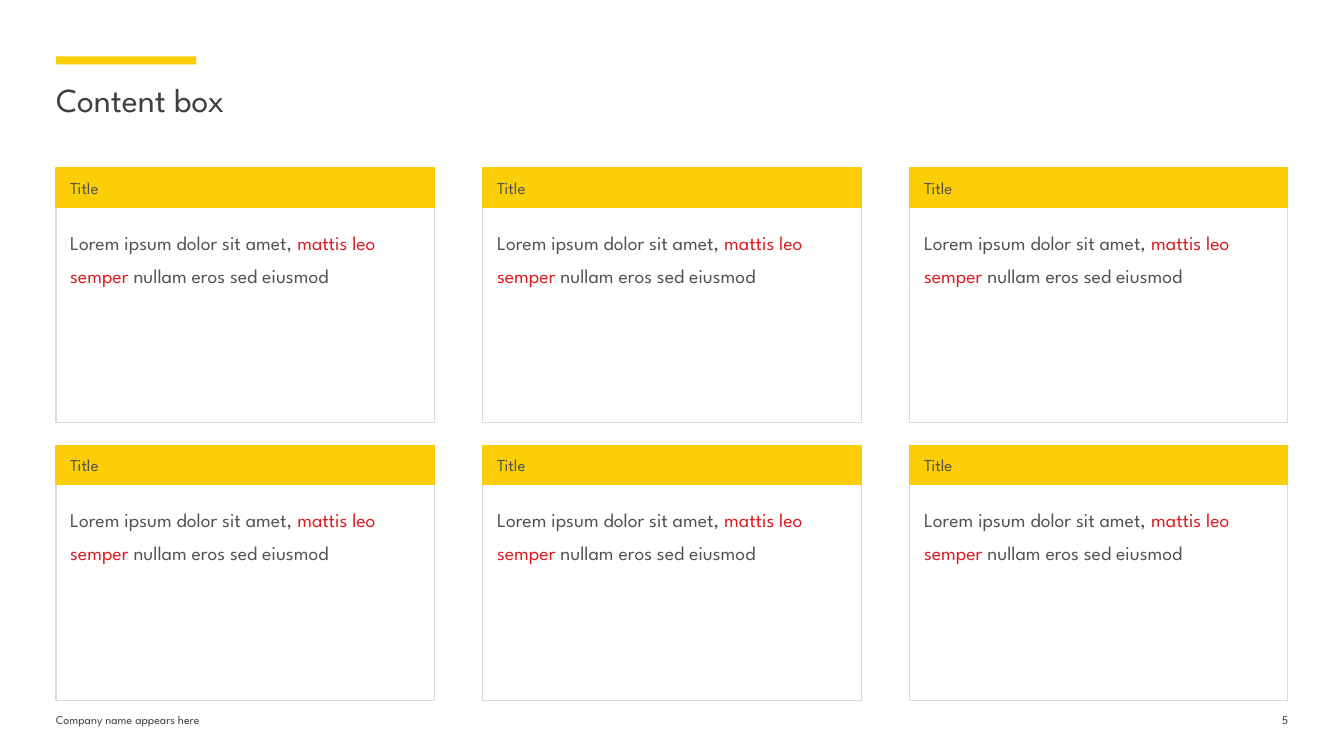
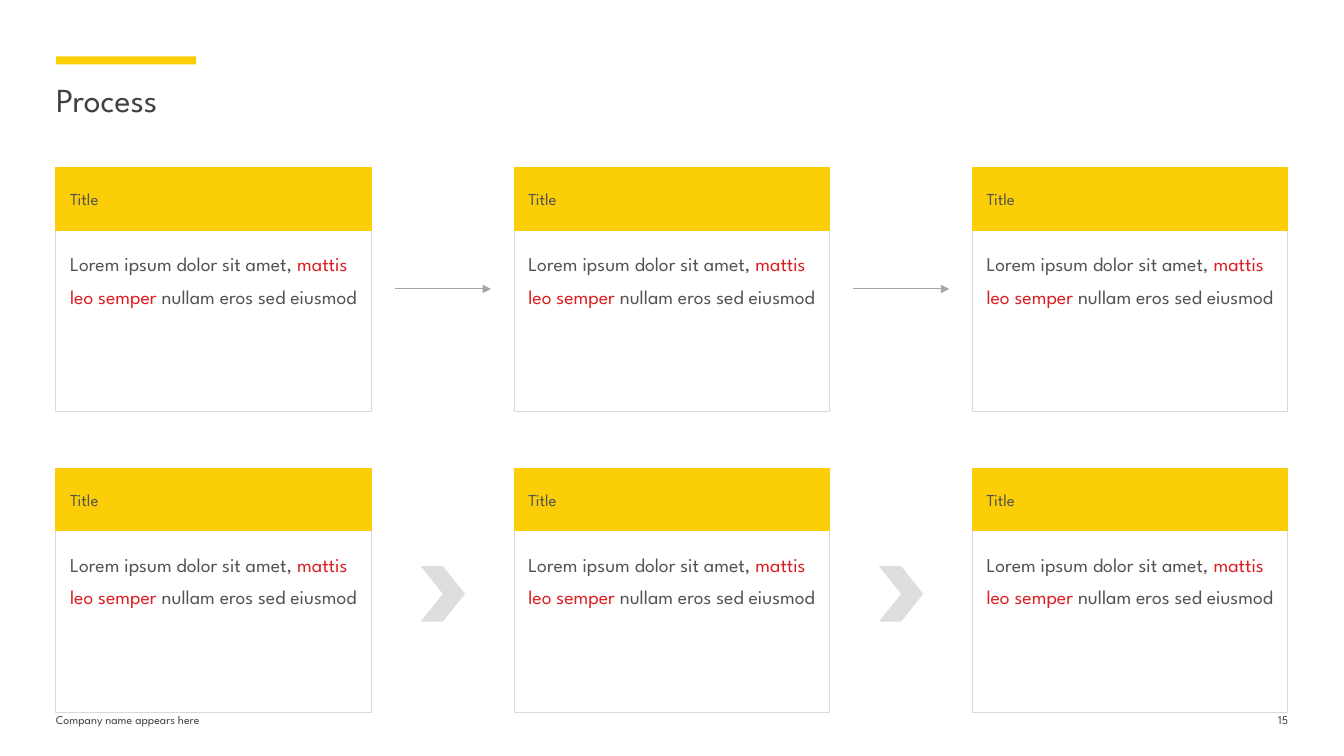
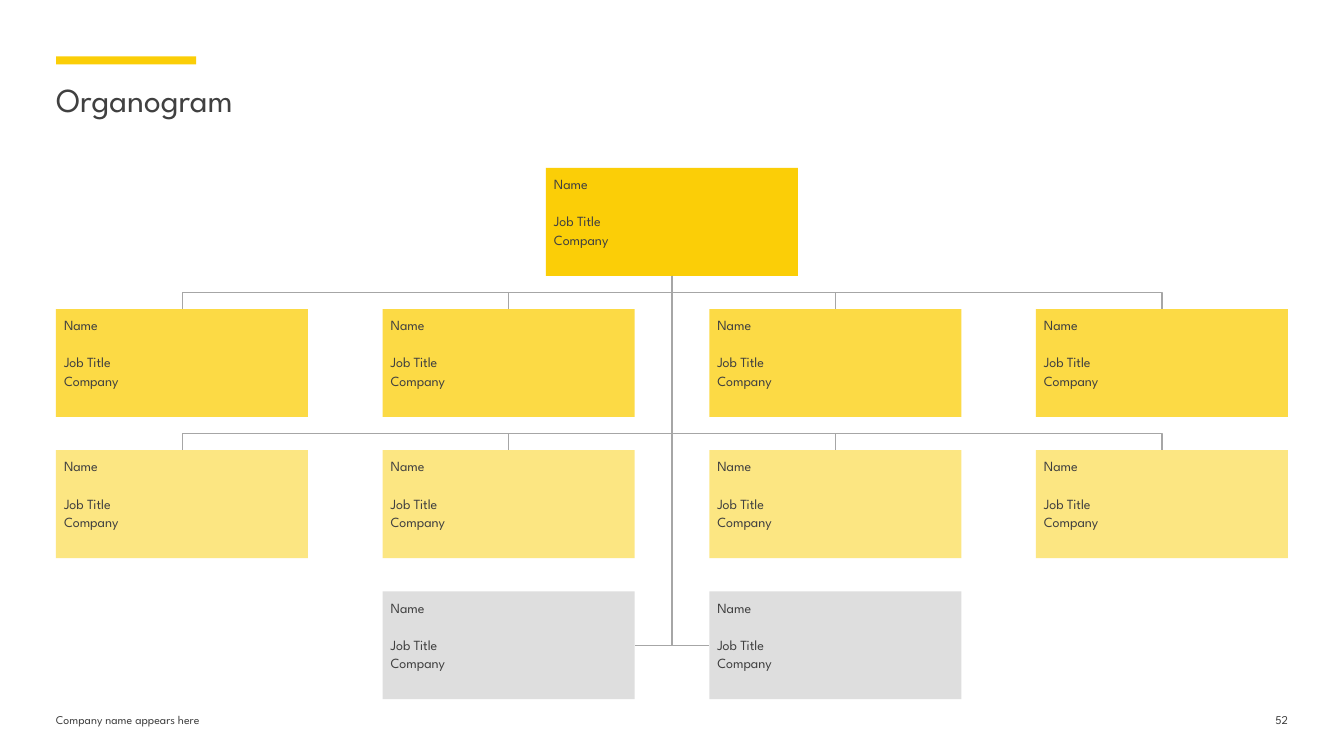
import pptx
import pptx.util
import pptx.dml.color
import pptx.enum.shapes
import pptx.enum.text
import pptx.oxml.ns
import pptx.oxml.xmlchemy

RGB = pptx.dml.color.RGBColor
Inches, Pt = pptx.util.Inches, pptx.util.Pt
SHAPE = pptx.enum.shapes.MSO_SHAPE
CONNECTOR = pptx.enum.shapes.MSO_CONNECTOR
ANCHOR = pptx.enum.text.MSO_ANCHOR
ALIGN = pptx.enum.text.PP_ALIGN
qn = pptx.oxml.ns.qn
new_element = pptx.oxml.xmlchemy.OxmlElement

# Shared style
YELLOW = RGB(0xFB, 0xCE, 0x07)
RED = RGB(0xDD, 0x1D, 0x21)
WHITE = RGB(0xFF, 0xFF, 0xFF)
BORDER = RGB(0xD9, 0xD9, 0xD9)
SILVER = RGB(0xDE, 0xDE, 0xDE)
LINE = RGB(0xA6, 0xA6, 0xA6)
DARK = RGB(0x40, 0x40, 0x40)
BODY = RGB(0x53, 0x53, 0x53)
FONT = "League Spartan"

# Shared grid, in inches
W, H = 13.33, 7.5
LEFT = W / 24
CONTENT_W = W - 2 * LEFT
TOP = H * 2 / 9
FOOTER_Y = 7.07

LOREM = [("Lorem ipsum dolor sit amet, ", BODY),
         ("mattis leo semper ", RED),
         ("nullam eros sed eiusmod", BODY)]


def columns(count, width):
    """Left edges of equal columns that fill the content width."""
    step = (CONTENT_W - width) / (count - 1)
    return [LEFT + i * step for i in range(count)]


def set_frame(shape, insets, anchor=ANCHOR.TOP):
    tf = shape.text_frame
    tf.word_wrap = True
    tf.vertical_anchor = anchor
    (tf.margin_left, tf.margin_top,
     tf.margin_right, tf.margin_bottom) = [Inches(v) for v in insets]
    return tf


def add_run(p, text, size, color):
    r = p.add_run()
    r.text = text
    r.font.name = FONT
    r.font.size = Pt(size)
    r.font.color.rgb = color


def add_text(s, x, y, w, h, text, size, align=ALIGN.LEFT):
    sp = s.shapes.add_textbox(Inches(x), Inches(y), Inches(w), Inches(h))
    p = set_frame(sp, (0, 0, 0, 0)).paragraphs[0]
    p.alignment = align
    add_run(p, text, size, DARK)


def add_block(s, x, y, w, h, fill, line=None, kind=SHAPE.RECTANGLE, opacity=100):
    sp = s.shapes.add_shape(kind, Inches(x), Inches(y), Inches(w), Inches(h))
    sp.shadow.inherit = False
    sp.fill.solid()
    sp.fill.fore_color.rgb = fill
    if opacity < 100:
        color = sp.element.spPr.find(qn("a:solidFill"))[0]
        alpha = new_element("a:alpha")
        alpha.set("val", str(opacity * 1000))
        color.append(alpha)
    if line is None:
        sp.line.fill.background()
    else:
        sp.line.color.rgb = line
        sp.line.width = Pt(0.75)
    return sp


def add_line(s, kind, x1, y1, x2, y2):
    c = s.shapes.add_connector(kind, Inches(x1), Inches(y1), Inches(x2), Inches(y2))
    c.line.color.rgb = LINE
    c.line.width = Pt(0.75)
    c.element.spPr.append(new_element("a:effectLst"))
    return c


def add_arrow(s, x1, x2, y):
    c = add_line(s, CONNECTOR.STRAIGHT, x1, y, x2, y)
    tail = new_element("a:tailEnd")
    tail.set("type", "triangle")
    c.element.spPr.find(qn("a:ln")).append(tail)


def add_elbow(s, x1, y1, x2, y2, bends=2):
    """Elbow connector that leaves (x1, y1) downwards."""
    mid_x, mid_y = (x1 + x2) / 2, (y1 + y2) / 2
    half_w, half_h = (y2 - y1) / 2, abs(x2 - x1) / 2
    c = add_line(s, CONNECTOR.ELBOW, mid_x - half_w, mid_y - half_h,
                 mid_x + half_w, mid_y + half_h)
    spPr = c.element.spPr
    xfrm = spPr.find(qn("a:xfrm"))
    to_left = x2 < x1
    xfrm.set("rot", str((90 if to_left else 270) * 60000))
    if not to_left:
        xfrm.set("flipH", "1")
    spPr.find(qn("a:prstGeom")).set("prst", f"bentConnector{bends + 1}")


def add_card(s, x, y, w, head_h, body_y, body_h):
    """Bordered body text under a yellow heading band."""
    body = add_block(s, x, y + body_y, w, body_h, WHITE, BORDER)
    p = set_frame(body, (0.14, 0.14, 0.04, 0.05)).paragraphs[0]
    p.alignment = ALIGN.LEFT
    p.line_spacing = 1.4
    for text, color in LOREM:
        add_run(p, text, 14, color)
    head = add_block(s, x, y, w, head_h, YELLOW, YELLOW)
    p = set_frame(head, (0.14, 0.05, 0.07, 0.05), ANCHOR.MIDDLE).paragraphs[0]
    p.alignment = ALIGN.LEFT
    add_run(p, "Title", 12, BODY)


def add_person(s, x, y, w, h, fill, opacity=100):
    sp = add_block(s, x, y, w, h, fill, opacity=opacity)
    tf = set_frame(sp, (0.08, 0.06, 0.04, 0.04))
    for i, text in enumerate(("Name", "Job Title", "Company")):
        p = tf.add_paragraph() if i else tf.paragraphs[0]
        p.alignment = ALIGN.LEFT
        p.line_spacing = 1.1
        if text == "Job Title":
            p.space_before = Pt(13.3)
        add_run(p, text, 10, DARK)


def new_slide(prs, title, number):
    """Blank slide with accent bar, title and footer."""
    s = prs.slides.add_slide(prs.slide_layouts[6])
    add_block(s, LEFT, 0.56, 1.39, 0.08, YELLOW)
    add_text(s, LEFT, 0.78, CONTENT_W, 0.82, title, 24)
    add_text(s, LEFT, FOOTER_Y, 3.67, 0.26, "Company name appears here", 8.5)
    add_text(s, W - LEFT - 0.39, FOOTER_Y, 0.39, 0.26, str(number), 8.5, ALIGN.RIGHT)
    return s


def content_box_slide(prs):
    s = new_slide(prs, "Content box", 5)
    for y in (TOP, TOP + 2.75):
        for x in columns(3, 3.75):
            add_card(s, x, y, 3.75, 0.39, 0.39, 2.14)


def process_slide(prs):
    s = new_slide(prs, "Process", 15)
    card_w = 3.13
    xs = columns(3, card_w)
    rows = TOP, TOP + 2.98
    # Arrows in the upper gaps, chevrons in the lower ones
    for x, next_x in zip(xs, xs[1:]):
        add_arrow(s, x + card_w + 0.23, next_x - 0.23, rows[0] + 1.2)
        middle = (x + card_w + next_x) / 2
        add_block(s, middle - 0.22, rows[1] + 0.97, 0.44, 0.55, SILVER,
                  kind=SHAPE.CHEVRON)
    for y in rows:
        for x in xs:
            add_card(s, x, y, card_w, 0.62, 0.6, 1.82)


def organogram_slide(prs):
    s = new_slide(prs, "Organogram", 52)
    box_w, box_h = 2.5, 1.07
    xs = columns(4, box_w)
    rows = [TOP + i * 1.4 for i in range(4)]
    center = W / 2
    # People, level by level
    levels = [([center - box_w / 2], YELLOW, 100), (xs, YELLOW, 75),
              (xs, YELLOW, 50), (xs[1:3], SILVER, 100)]
    for y, (lefts, fill, opacity) in zip(rows, levels):
        for x in lefts:
            add_person(s, x, y, box_w, box_h, fill, opacity)
    # Reporting lines
    for above, below in zip(rows[:2], rows[1:3]):
        for x in xs:
            add_elbow(s, center, above + box_h, x + box_w / 2, below)
    for x in (xs[1] + box_w, xs[2]):
        add_elbow(s, center, rows[0] + box_h, x, rows[3] + box_h / 2, bends=1)


def main():
    prs = pptx.Presentation()
    prs.slide_width, prs.slide_height = Inches(W), Inches(H)
    content_box_slide(prs)
    process_slide(prs)
    organogram_slide(prs)
    prs.save("out.pptx")


if __name__ == "__main__":
    main()
